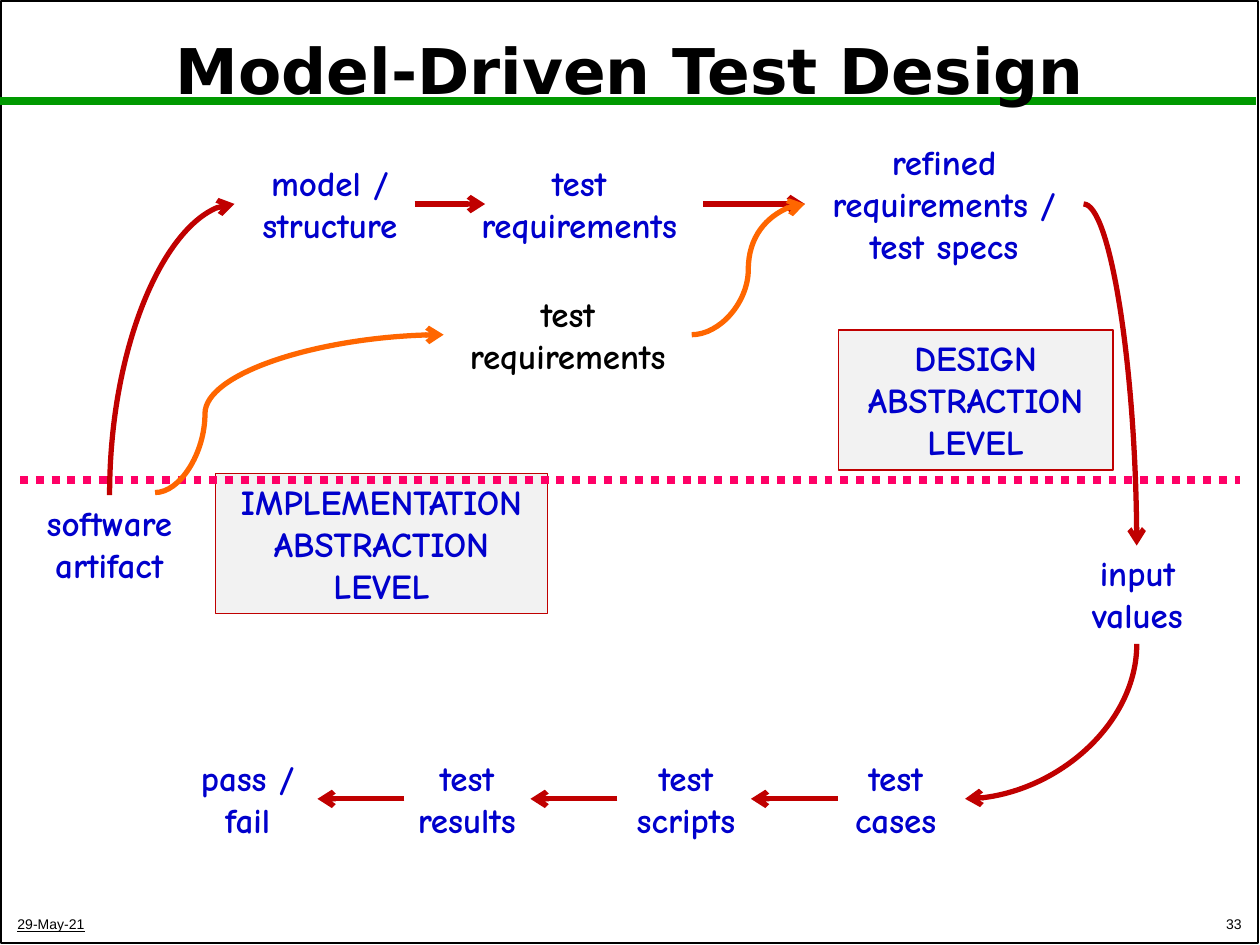
from dataclasses import dataclass

import lxml.etree
import pptx
import pptx.dml.color
import pptx.enum.dml
import pptx.enum.shapes
import pptx.enum.text
import pptx.oxml.ns
import pptx.util

Pt = pptx.util.Pt
qn = pptx.oxml.ns.qn
ALIGN = pptx.enum.text.PP_ALIGN
ANCHOR = pptx.enum.text.MSO_ANCHOR
KIND = pptx.enum.shapes.MSO_CONNECTOR


@dataclass(frozen=True)
class Theme:
    ink: str = "000000"
    label: str = "0000CC"
    flow: str = "C00000"
    shortcut: str = "FF6600"
    divider: str = "FF0066"
    rule: str = "009900"
    panel: str = "F2F2F2"
    title_size: float = 36
    label_size: float = 20
    footer_size: float = 8
    title_font: str = "DejaVu Sans"
    label_font: str = "Comic Neue"
    footer_font: str = "Arial"


@dataclass(frozen=True)
class Label:
    text: str
    left: float
    middle: float
    width: float
    height: float = 55.4
    color: str = Theme.label


@dataclass(frozen=True)
class Link:
    start: tuple[float, float]
    end: tuple[float, float]
    color: str = Theme.flow
    bend: str = "straight"  # straight, across (horizontal first), down (vertical first), s
    adjust: float = 0.5
    width: float = 3
    arrow: bool = True
    dotted: bool = False


theme = Theme()
TOP_ROW, SHORTCUT_ROW, BOTTOM_ROW = 116.6, 191.3, 456.5

LABELS = [
    Label("software artifact", 8, 310.7, 109),
    Label("model / structure", 134, TOP_ROW, 109),
    Label("test requirements", 260, TOP_ROW, 142),
    Label("refined requirements / test specs", 460, TOP_ROW, 159, 79.7),
    Label("input values", 595.5, 339.5, 109),
    Label("test cases", 472.3, BOTTOM_ROW, 79),
    Label("test scripts", 347, BOTTOM_ROW, 90),
    Label("test results", 221.8, BOTTOM_ROW, 90),
    Label("pass / fail", 97, BOTTOM_ROW, 89),
    Label("test requirements", 253.5, SHORTCUT_ROW, 142, color=theme.ink),
]
LEVELS = [
    Label("IMPLEMENTATION\nABSTRACTION\nLEVEL", 123, 310.7, 190, 79.9),
    Label("DESIGN\nABSTRACTION\nLEVEL", 479, 228.6, 157, 79.9),
]
LINKS = [
    Link((62.6, 283), (134, TOP_ROW), bend="down"),
    Link((649.6, 368), (551.5, BOTTOM_ROW), bend="down"),
    Link((237, TOP_ROW), (277.2, TOP_ROW)),
    Link((402, TOP_ROW), (460, TOP_ROW)),
    *[Link((x, BOTTOM_ROW), (x - 49.7, BOTTOM_ROW)) for x in (231.1, 352.8, 478.8)],
    Link((619.2, TOP_ROW), (649.6, 311.8), bend="across"),
    Link((11.5, 274.3), (708.5, 274.3), theme.divider, width=4.5, arrow=False, dotted=True),
    Link((88.6, 281.5), (253.5, SHORTCUT_ROW), theme.shortcut, "s", 0.173),
    Link((395.3, SHORTCUT_ROW), (460, TOP_ROW), theme.shortcut, "s"),
]


def rgb(color: str) -> pptx.dml.color.RGBColor:
    return pptx.dml.color.RGBColor.from_string(color)


def apply(target, formats: dict) -> None:
    for name, value in formats.items():
        setattr(target, name, value)


def write(box, text: str, color: str, font: dict, paragraph: dict, anchor=ANCHOR.TOP) -> None:
    frame = box.text_frame
    apply(frame, {"word_wrap": True, "vertical_anchor": anchor})
    for index, line in enumerate(text.split("\n")):
        para = frame.paragraphs[0] if index == 0 else frame.add_paragraph()
        apply(para, paragraph)
        span = para.add_run()
        span.text = line
        apply(span.font, font)
        span.font.color.rgb = rgb(color)


def draw_label(page, label: Label, panel: bool = False) -> None:
    place = [Pt(v) for v in (label.left, label.middle - label.height / 2, label.width, label.height)]
    if panel:
        box = add_rectangle(page, place, theme.flow, 0.75)
        box.fill.solid()
        box.fill.fore_color.rgb = rgb(theme.panel)
    else:
        box = page.shapes.add_textbox(*place)
    font = {"name": theme.label_font, "size": Pt(theme.label_size), "bold": True}
    write(box, label.text, label.color, font, {"alignment": ALIGN.CENTER})


def add_rectangle(page, place: list, color: str, width: float):
    box = page.shapes.add_shape(pptx.enum.shapes.MSO_SHAPE.RECTANGLE, *place)
    box.shadow.inherit = False
    box.fill.background()
    box.line.color.rgb = rgb(color)
    box.line.width = Pt(width)
    return box


def draw_link(page, link: Link) -> None:
    (x1, y1), (x2, y2) = link.start, link.end
    if link.bend == "down":
        # A vertical-first bend is a horizontal-first one turned a quarter about its centre
        cx, cy, dx, dy = (x1 + x2) / 2, (y1 + y2) / 2, x2 - x1, y2 - y1
        x1, y1, x2, y2 = cx - dy / 2, cy + dx / 2, cx + dy / 2, cy - dx / 2
    kind = KIND.STRAIGHT if link.bend == "straight" else KIND.CURVE
    line = page.shapes.add_connector(kind, Pt(x1), Pt(y1), Pt(x2), Pt(y2))
    line.line.color.rgb = rgb(link.color)
    line.line.width = Pt(link.width)
    if link.dotted:
        line.line.dash_style = pptx.enum.dml.MSO_LINE.ROUND_DOT
    properties = line._element.spPr
    geometry = properties.find(qn("a:prstGeom"))
    if link.bend in ("across", "down"):
        geometry.set("prst", "curvedConnector2")
    if link.bend == "down":
        properties.find(qn("a:xfrm")).set("rot", "5400000")
    if link.bend == "s":
        guide = lxml.etree.SubElement(geometry.find(qn("a:avLst")), qn("a:gd"))
        guide.set("name", "adj1")
        guide.set("fmla", f"val {round(link.adjust * 100000)}")
    if link.arrow:
        lxml.etree.SubElement(properties.find(qn("a:ln")), qn("a:tailEnd")).set("type", "arrow")
    lxml.etree.SubElement(properties, qn("a:effectLst"))


deck = pptx.Presentation()
apply(deck, {"slide_width": Pt(720), "slide_height": Pt(540)})
page = deck.slides.add_slide(deck.slide_layouts[6])

# Page frame and title rule
add_rectangle(page, [Pt(v) for v in (0.75, 0.75, 718, 538)], theme.ink, 1)
draw_link(page, Link((0, 57.5), (718, 57.5), theme.rule, width=4.5, arrow=False))

# Title and footer
title = page.shapes.add_textbox(Pt(3.6), Pt(8), Pt(712.8), Pt(68.4))
write(title, "Model-Driven Test Design", theme.ink,
      {"name": theme.title_font, "size": Pt(theme.title_size), "bold": True},
      {"alignment": ALIGN.CENTER, "line_spacing": 0.9}, ANCHOR.MIDDLE)
for text, left, width, align, underline in (
    ("29-May-21", 2.9, 302, ALIGN.LEFT, True),
    ("33", 566.6, 150, ALIGN.RIGHT, False),
):
    footer = page.shapes.add_textbox(Pt(left), Pt(516.5), Pt(width), Pt(20))
    write(footer, text, theme.ink,
          {"name": theme.footer_font, "size": Pt(theme.footer_size), "underline": underline},
          {"alignment": align}, ANCHOR.BOTTOM)

# Process steps, level panels and the arrows between them
for label in LABELS:
    draw_label(page, label)
for level in LEVELS:
    draw_label(page, level, panel=True)
for link in LINKS:
    draw_link(page, link)

deck.save("out.pptx")
